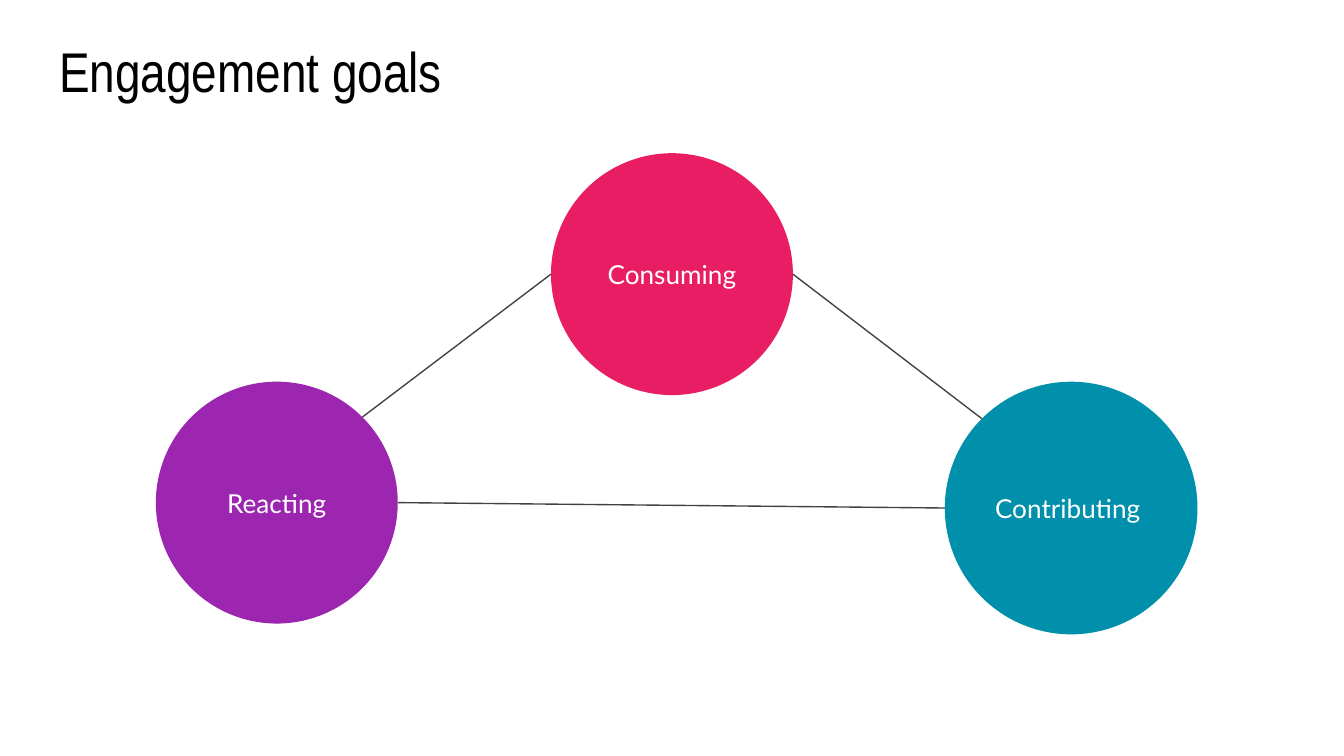
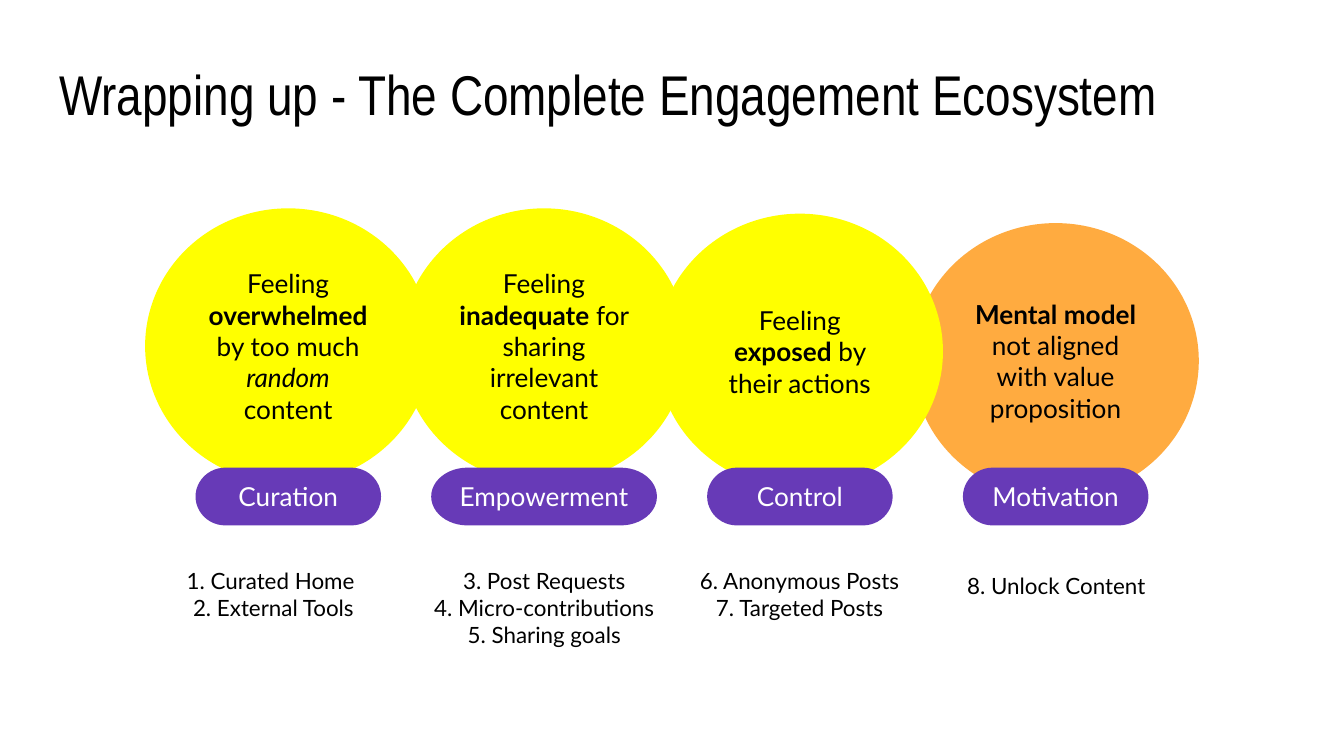
"""Build two slides on engagement goals and the engagement ecosystem."""
from math import cos, radians, sin

from lxml import etree
from pptx import Presentation
from pptx import util as u
from pptx.dml.color import RGBColor
from pptx.enum import shapes, text
from pptx.oxml.ns import qn

BLACK = RGBColor(0x00, 0x00, 0x00)
WHITE = RGBColor(0xFF, 0xFF, 0xFF)
GREY = RGBColor(0x42, 0x42, 0x42)
PURPLE = RGBColor(0x9C, 0x26, 0xB0)
TEAL = RGBColor(0x00, 0x90, 0xAC)
PINK = RGBColor(0xE9, 0x1D, 0x63)
YELLOW = RGBColor(0xFF, 0xFF, 0x00)
ORANGE = RGBColor(0xFF, 0xAB, 0x40)
VIOLET = RGBColor(0x67, 0x3A, 0xB7)

TITLE_FONT = "Arial Narrow"
BODY_FONT = "Lato"
CENTER, LEFT = text.PP_ALIGN.CENTER, text.PP_ALIGN.LEFT
TOP, MIDDLE, BOTTOM = (text.MSO_ANCHOR.TOP, text.MSO_ANCHOR.MIDDLE,
                       text.MSO_ANCHOR.BOTTOM)
CIRCLE = shapes.MSO_SHAPE.OVAL
PILL = shapes.MSO_SHAPE.FLOWCHART_TERMINATOR

FIRST_LEFT, LAST_LEFT = 1.08, 6.79
BUBBLE_W, BUBBLE_H = 2.13, 2.05
PILL_TOP, PILL_H = 3.48, 0.43

# Each column: fill, bubble top, bubble runs, pill label, pill width
COLUMNS = [
    (YELLOW, 1.55, [("Feeling ", ""), ("overwhelmed", "b"), (" by too much ", ""),
                    ("random", "i"), (" content", "")], "Curation", 1.38),
    (YELLOW, 1.55, [("Feeling ", ""), ("inadequate", "b"),
                    (" for sharing irrelevant content", "")], "Empowerment", 1.68),
    (YELLOW, 1.59, [("Feeling ", ""), ("exposed", "b"),
                    (" by their actions", "")], "Control", 1.38),
    (ORANGE, 1.66, [("Mental model", "b"),
                    (" not aligned with value proposition", "")], "Motivation", 1.38),
]
# Each list: left, top, width, lines
FEATURES = [
    (1.08, 4.12, 1.91, ["1. Curated Home ", "2. External Tools"]),
    (3.05, 4.12, 2, ["3. Post Requests", "4. Micro-contributions",
                     "5. Sharing goals"]),
    (4.95, 4.12, 2, ["6. Anonymous Posts", "7. Targeted Posts"]),
    (6.98, 4.16, 1.76, ["8. Unlock Content"]),
]


def fill_text(tf, paragraphs, size, color, font=BODY_FONT, align=CENTER,
              anchor=MIDDLE):
    """Write paragraphs of (text, style) runs into a text frame."""
    tf.word_wrap = True
    tf.auto_size = text.MSO_AUTO_SIZE.NONE
    tf.vertical_anchor = anchor
    tf.margin_left = tf.margin_right = u.Inches(0.1)
    tf.margin_top = tf.margin_bottom = u.Inches(0.1)
    for i, runs in enumerate(paragraphs):
        p = tf.add_paragraph() if i else tf.paragraphs[0]
        p.alignment = align
        for words, style in runs:
            r = p.add_run()
            r.text = words
            r.font.name, r.font.size = font, u.Pt(size)
            r.font.color.rgb = color
            r.font.bold, r.font.italic = style == "b", style == "i"


def add_titled_slide(prs, title, height):
    """Add a slide with a bottom-anchored title."""
    s = prs.slides.add_slide(prs.slide_layouts[5])
    sp = s.shapes.title
    sp.left, sp.top = u.Inches(0.34), u.Inches(0.24)
    sp.width, sp.height = u.Inches(9.32), u.Inches(height)
    fill_text(sp.text_frame, [[(title, "")]], 30, BLACK, TITLE_FONT, LEFT, BOTTOM)
    return s


def add_label(s, kind, left, top, width, height, fill, runs, color=WHITE,
              align=CENTER):
    """Add a filled shape without outline that holds one paragraph."""
    sp = s.shapes.add_shape(kind, u.Inches(left), u.Inches(top),
                            u.Inches(width), u.Inches(height))
    sp.shadow.inherit = False
    sp.fill.solid()
    sp.fill.fore_color.rgb = fill
    sp.line.fill.background()
    fill_text(sp.text_frame, [runs], 14, color, align=align)
    return sp


def add_list(s, left, top, width, lines):
    """Add a centred text box with one paragraph per line."""
    sp = s.shapes.add_textbox(u.Inches(left), u.Inches(top),
                              u.Inches(width), u.Inches(0.8))
    fill_text(sp.text_frame, [[(line, "")] for line in lines], 12, BLACK,
              anchor=TOP)


def rim(sp, degrees):
    """Return the point on a circle at an angle counted from its right side."""
    radius, angle = sp.width / 2, radians(degrees)
    return (round(sp.left + radius * (1 + cos(angle))),
            round(sp.top + radius * (1 - sin(angle))))


def add_link(s, start, end):
    """Draw a thin straight line between two points."""
    line = s.shapes.add_connector(shapes.MSO_CONNECTOR.STRAIGHT, *start, *end)
    line.line.color.rgb = GREY
    line.line.width = u.Pt(0.75)
    etree.SubElement(line._element.spPr, qn("a:effectLst"))


def build_goals(prs):
    """Build the triangle of three linked goals."""
    s = add_titled_slide(prs, "Engagement goals", 0.63)
    reacting = add_label(s, CIRCLE, 1.16, 2.84, 1.8, 1.8, PURPLE,
                         [("Reacting", "")])
    contributing = add_label(s, CIRCLE, 7.03, 2.84, 1.88, 1.88, TEAL,
                             [("Contributing", "")], align=LEFT)
    consuming = add_label(s, CIRCLE, 4.1, 1.14, 1.8, 1.8, PINK,
                          [("Consuming", "")])
    add_link(s, rim(consuming, 0), rim(contributing, 135))
    add_link(s, rim(contributing, 180), rim(reacting, 0))
    add_link(s, rim(reacting, 45), rim(consuming, 180))


def build_ecosystem(prs):
    """Build the columns of barriers, responses and features."""
    s = add_titled_slide(prs, "Wrapping up - The Complete Engagement Ecosystem", 0.8)
    pitch = (LAST_LEFT - FIRST_LEFT) / (len(COLUMNS) - 1)
    columns = [(FIRST_LEFT + i * pitch, c) for i, c in enumerate(COLUMNS)]
    for left, (fill, top, runs, _, _) in columns[-1:] + columns[:-1]:
        add_label(s, CIRCLE, left, top, BUBBLE_W, BUBBLE_H, fill, runs, BLACK)
    for left, (_, _, _, name, width) in columns:
        add_label(s, PILL, left + (BUBBLE_W - width) / 2, PILL_TOP, width, PILL_H,
                  VIOLET, [(name, "")])
    for feature in FEATURES:
        add_list(s, *feature)


def main():
    """Create the presentation and save it."""
    prs = Presentation()
    prs.slide_width = u.Inches(10)
    prs.slide_height = prs.slide_width * 9 // 16
    build_goals(prs)
    build_ecosystem(prs)
    prs.save("out.pptx")


if __name__ == "__main__":
    main()
